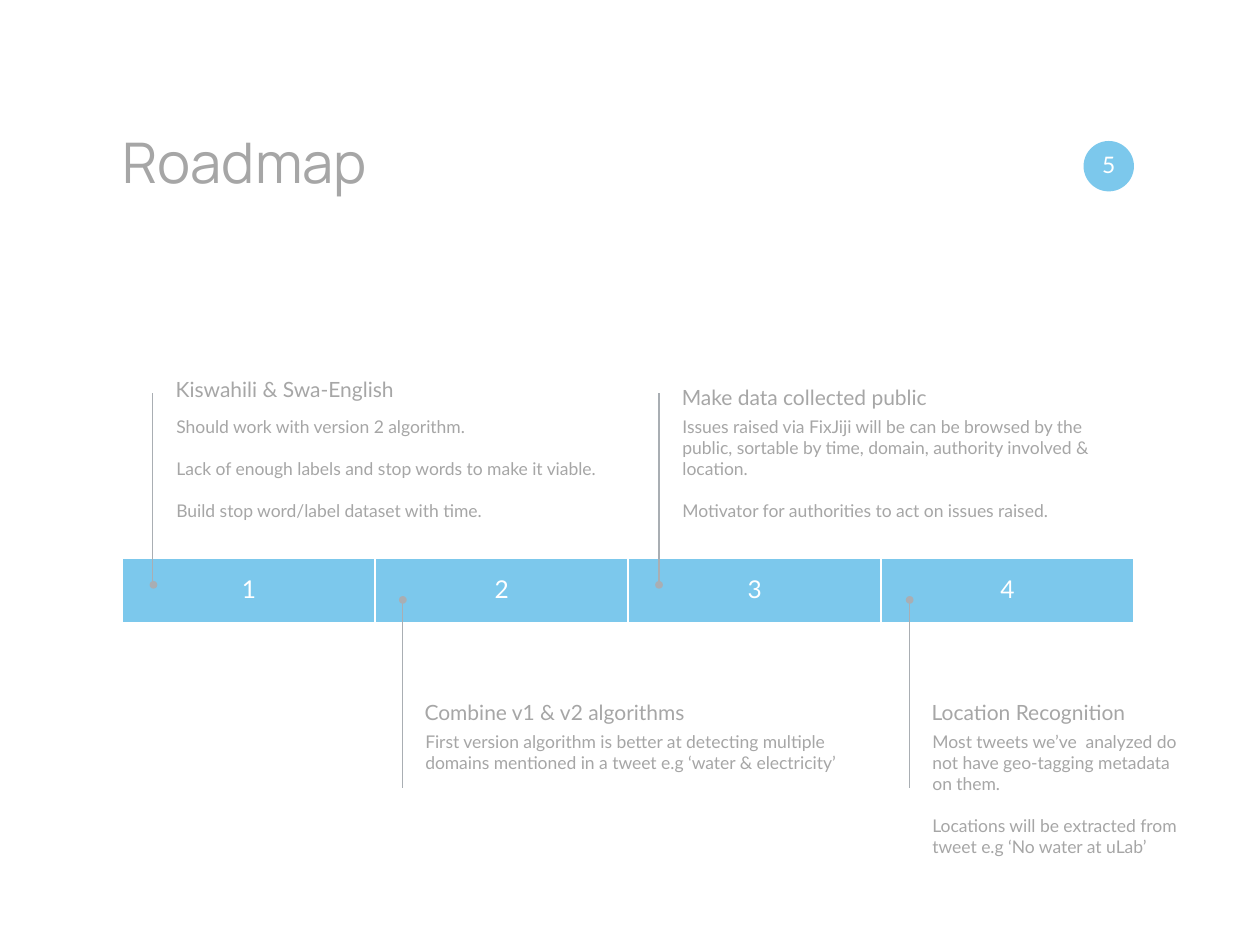
"""Builds the Roadmap slide: a four-step bar with notes above and below it."""
from pptx import Presentation
from pptx.dml.color import RGBColor
from pptx.enum.shapes import MSO_CONNECTOR as CONNECTOR, MSO_SHAPE as SHAPE
from pptx.enum.text import MSO_ANCHOR as ANCHOR, PP_ALIGN as ALIGN
from pptx.oxml.ns import qn
from pptx.util import Pt

SKY = RGBColor(0x7C, 0xC8, 0xEC)
GREY = RGBColor(0xA6, 0xA6, 0xA6)
STEM = RGBColor(0xA9, 0xAE, 0xB3)
WHITE = RGBColor(0xFF, 0xFF, 0xFF)

BAR_LEFT, BAR_TOP, STEP_WIDTH, BAR_HEIGHT = 70, 319, 144.5, 37
DOT = 4.4

presentation = Presentation()
presentation.slide_width, presentation.slide_height = Pt(720), Pt(540)
slide = presentation.slides.add_slide(presentation.slide_layouts[6])
shapes = slide.shapes


def write(shape, texts, size, color, spacing, font="Lato", anchor=ANCHOR.TOP,
          align=ALIGN.LEFT, gap=0):
    frame = shape.text_frame
    frame.word_wrap = True
    frame.vertical_anchor = anchor
    frame.margin_left = frame.margin_right = frame.margin_top = frame.margin_bottom = 0
    for index, text in enumerate(texts):
        paragraph = frame.add_paragraph() if index else frame.paragraphs[0]
        paragraph.alignment = align
        paragraph.line_spacing = spacing
        paragraph.space_before = Pt(gap if index else 0)
        run = paragraph.add_run()
        run.text = text
        run.font.name, run.font.size = font, Pt(size)
        run.font.color.rgb = color


def add_filled(kind, left, top, width, height, fill, outline=None):
    shape = shapes.add_shape(kind, Pt(left), Pt(top), Pt(width), Pt(height))
    shape.shadow.inherit = False
    shape.fill.solid()
    shape.fill.fore_color.rgb = fill
    if outline is None:
        shape.line.fill.background()
    else:
        shape.line.color.rgb = outline
        shape.line.width = Pt(1)
    return shape


title = shapes.add_textbox(Pt(70), Pt(77), Pt(529), Pt(45))
write(title, ["Roadmap"], 32, GREY, 0.9, font="Manrope")

page_badge = add_filled(SHAPE.OVAL, 619.2, 80.6, 28.8, 28.8, SKY)
write(page_badge, ["5"], 13, WHITE, 0.9, anchor=ANCHOR.MIDDLE, align=ALIGN.CENTER)

for index in range(4):
    step = add_filled(SHAPE.RECTANGLE, BAR_LEFT + index * STEP_WIDTH, BAR_TOP,
                      STEP_WIDTH, BAR_HEIGHT, SKY, WHITE)
    write(step, [str(index + 1)], 14, WHITE, 0.9, anchor=ANCHOR.MIDDLE,
          align=ALIGN.CENTER)

ABOVE = {"stem": (224.6, 332), "dot_top": 332, "body_top": 237.6}
BELOW = {"stem": (450, 342.7), "dot_top": 340.6, "body_top": 417.6}

milestones = [
    (ABOVE, 87.1, 87.7, 100.8, 229.5, 240, "Kiswahili & Swa-English",
     ["Should work with version 2 algorithm.",
      "Lack of enough labels and stop words to make it viable.",
      "Build stop word/label dataset with time."]),
    (BELOW, 230.2, 230.2, 243, 414, 245.5, "Combine v1 & v2 algorithms",
     ["First version algorithm is better at detecting multiple domains "
      "mentioned in a tweet e.g ‘water & electricity’"]),
    (ABOVE, 376.6, 376.6, 390, 234, 257.8, "Make data collected public",
     ["Issues raised via FixJiji will be can be browsed by the public, "
      "sortable by time, domain, authority involved & location.",
      "Motivator for authorities to act on issues raised."]),
    (BELOW, 519.8, 519.8, 532.8, 414, 147.6, "Location Recognition",
     ["Most tweets we’ve  analyzed do not have geo-tagging metadata on them.",
      "Locations will be extracted from tweet e.g ‘No water at uLab’"]),
]

for side, stem_x, dot_x, text_left, heading_bottom, width, heading, notes in milestones:
    start, end = side["stem"]
    stem = shapes.add_connector(CONNECTOR.STRAIGHT, Pt(stem_x), Pt(start),
                                Pt(stem_x), Pt(end))
    stem.line.color.rgb = STEM
    stem.line.width = Pt(0.75)
    properties = stem._element.spPr
    properties.append(properties.makeelement(qn("a:effectLst"), {}))
    add_filled(SHAPE.OVAL, dot_x - DOT / 2, side["dot_top"], DOT, DOT, STEM)

    heading_box = shapes.add_textbox(Pt(text_left - 0.4), Pt(heading_bottom - 30),
                                     Pt(width), Pt(30))
    write(heading_box, [heading], 12, GREY, Pt(10), anchor=ANCHOR.BOTTOM)
    body_box = shapes.add_textbox(Pt(text_left), Pt(side["body_top"]),
                                  Pt(width), Pt(70))
    write(body_box, notes, 10, GREY, Pt(12), gap=12)

presentation.save("out.pptx")
